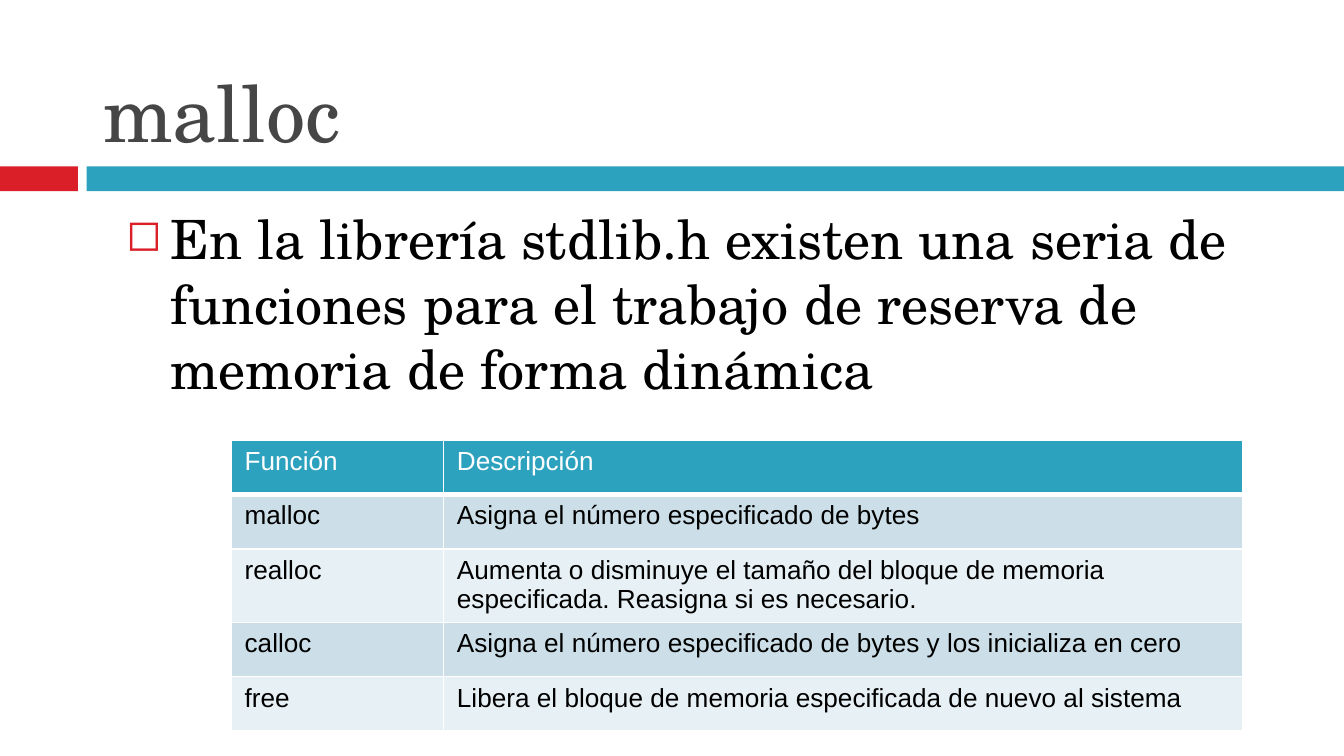
import pptx
import pptx.dml.color
import pptx.enum.shapes
import pptx.enum.text
import pptx.oxml
import pptx.oxml.ns
import pptx.util

RGBColor = pptx.dml.color.RGBColor
RED = RGBColor(0xDA, 0x1F, 0x28)
TEAL = RGBColor(0x2D, 0xA2, 0xBF)
GRAY = RGBColor(0x46, 0x46, 0x46)
BLACK = RGBColor(0, 0, 0)
WHITE = RGBColor(0xFF, 0xFF, 0xFF)
BANDS = [RGBColor(0xCC, 0xDF, 0xE8), RGBColor(0xE7, 0xF0, 0xF4)]
SERIF = "TeX Gyre Schola"
NAMESPACE = pptx.oxml.ns.nsdecls("a")

# Widescreen page, 16 to 9
deck = pptx.Presentation()
deck.slide_width = pptx.util.Inches(10)
deck.slide_height = deck.slide_width * 9 // 16
page = deck.slides.add_slide(deck.slide_layouts[6])

# Grid of 100 columns by 100 rows
COLUMN = deck.slide_width / 100
ROW = deck.slide_height / 100


def area(left, top, width, height):
    return int(left * COLUMN), int(top * ROW), int(width * COLUMN), int(height * ROW)


def write(frame, text, font=SERIF, size=14, color=BLACK, anchor=pptx.enum.text.MSO_ANCHOR.TOP):
    frame.word_wrap = True
    frame.vertical_anchor = anchor
    para = frame.paragraphs[0]
    span = para.add_run()
    span.text = text
    span.font.name = font
    span.font.size = pptx.util.Pt(size)
    span.font.bold = False
    span.font.color.rgb = color
    return para


# Two-colour band under the title
for left, width, color in [(0, 5.8, RED), (6.45, 93.55, TEAL)]:
    band = page.shapes.add_shape(
        pptx.enum.shapes.MSO_SHAPE.RECTANGLE, *area(left, 22, width, 3.3))
    band.shadow.inherit = False
    band.fill.solid()
    band.fill.fore_color.rgb = color
    band.line.fill.background()

# Title
title = page.shapes.add_textbox(*area(6.7, 2.3, 89.2, 19.5))
write(title.text_frame, "malloc", size=42, color=GRAY,
      anchor=pptx.enum.text.MSO_ANCHOR.BOTTOM)

# Bulleted statement
body = page.shapes.add_textbox(*area(6.7, 26.3, 89.2, 63.7))
statement = write(
    body.text_frame,
    "En la librería stdlib.h existen una seria de funciones para el trabajo "
    "de reserva de memoria de forma dinámica",
    size=29)
properties = statement._p.get_or_add_pPr()
properties.set("marL", str(int(5 * COLUMN)))
properties.set("indent", str(int(-3.3 * COLUMN)))
for bullet in [f'<a:buClr {NAMESPACE}><a:srgbClr val="{RED}"/></a:buClr>',
               f'<a:buSzPct {NAMESPACE} val="80000"/>',
               f'<a:buChar {NAMESPACE} char="◻"/>']:
    properties.append(pptx.oxml.parse_xml(bullet))

# Table of memory functions
records = [
    ("Función", "Descripción"),
    ("malloc", "Asigna el número especificado de bytes"),
    ("realloc", "Aumenta o disminuye el tamaño del bloque de memoria "
                "especificada. Reasigna si es necesario."),
    ("calloc", "Asigna el número especificado de bytes y los inicializa en cero"),
    ("free", "Libera el bloque de memoria especificada de nuevo al sistema"),
]
table = page.shapes.add_table(
    len(records), 2, *area(17.2, 58.2, 75.3, 7.2 * len(records))).table
for column, width in zip(table.columns, [15.8, 59.5]):
    column.width = int(width * COLUMN)

for row, record in enumerate(records):
    for column, text in enumerate(record):
        cell = table.cell(row, column)
        cell.margin_bottom = pptx.util.Inches(0.03)
        write(cell.text_frame, text, font="Arial", color=BLACK if row else WHITE)
        cell_properties = cell._tc.get_or_add_tcPr()
        for side in ["lnL", "lnR", "lnT", "lnB"]:
            # The rule between header and first row is thicker
            thick = (row, side) in [(0, "lnB"), (1, "lnT")]
            cell_properties.append(pptx.oxml.parse_xml(
                f'<a:{side} {NAMESPACE} w="{pptx.util.Pt(3 if thick else 1)}">'
                f'<a:solidFill><a:srgbClr val="{WHITE}"/></a:solidFill></a:{side}>'))
        cell.fill.solid()
        cell.fill.fore_color.rgb = BANDS[(row - 1) % 2] if row else TEAL

deck.save("out.pptx")
